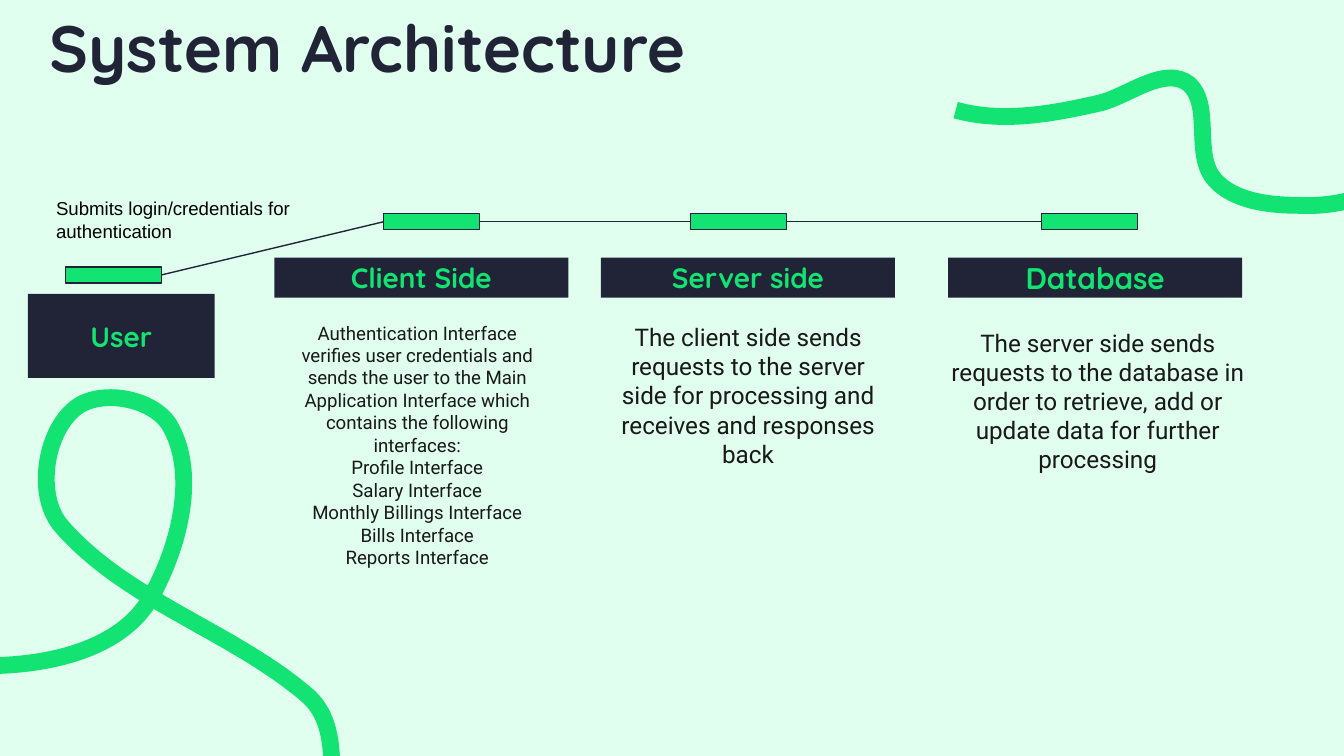
from dataclasses import dataclass

from lxml import etree
from pptx import Presentation
from pptx import util as u
from pptx.dml.color import RGBColor
from pptx.enum import shapes, text
from pptx.oxml.ns import qn

Pt = u.Pt


@dataclass(frozen=True)
class Theme:
    mint: str = "E0FFEE"
    green: str = "13E372"
    navy: str = "212437"
    ink: str = "191919"
    black: str = "000000"
    heading: str = "Quicksand"
    body: str = "Roboto"
    note: str = "Arial"
    title_size: float = 35
    label_size: float = 15
    note_size: float = 10
    rule: float = 0.75
    ribbon: float = 9
    inset: float = 7.2


THEME = Theme()
MARKER_SIZE = (51.5, 8.6)

# Header box, header size, marker corner, body box, body size, paragraphs
STAGES = [
    ("Client Side", (147, 138, 157.5, 21.5), 15, (205.5, 114.5),
     (151, 165, 145, 218), 10,
     ["Authentication Interface verifies user credentials and sends the user to "
      "the Main Application Interface which contains the following interfaces:",
      "Profile Interface", "Salary Interface", "Monthly Billings Interface",
      "Bills Interface", "Reports Interface"]),
    ("Server side", (322, 138, 157.5, 21.5), 15, (370, 114.5),
     (322, 165.5, 157.5, 45), 13,
     ["The client side sends requests to the server side for processing and "
      "receives and responses back"]),
    ("Database", (508, 138, 157.5, 21.5), 16, (558, 114.5),
     (500.5, 168.5, 175, 45), 13,
     ["The server side sends requests to the database in order to retrieve, "
      "add or update data for further processing"]),
]

# Each ribbon is a start point followed by cubic segments of three points
LOOP = [(175, 457),
        (175, 429), (186, 390), (164, 372), (124, 338), (68, 322), (33, 282),
        (19, 266), (24, 232), (40, 219), (53, 208), (82, 213), (91, 228),
        (106, 254), (96, 292), (82, 318), (63, 356), (1, 361), (-40, 354),
        (-135, 337), (-169, 175), (-265, 175)]
WAVE = [(835, 94),
        (815, 89), (795, 74), (775, 79), (764, 82), (756, 94), (746, 99),
        (730, 107), (712, 111), (695, 110), (678, 110), (658, 107), (649, 94),
        (640, 80), (649, 56), (637, 45), (624, 35), (605, 51), (590, 55),
        (564, 61), (537, 66), (512, 59)]


def rgb(color):
    return RGBColor.from_string(color)


def in_points(box):
    return [Pt(length) for length in box]


def write(frame, paragraphs, font, size, color, bold=False, centred=True,
          anchor=text.MSO_ANCHOR.TOP, inset_y=THEME.inset):
    frame.word_wrap = True
    frame.auto_size = text.MSO_AUTO_SIZE.NONE
    frame.vertical_anchor = anchor
    frame.margin_left = frame.margin_right = Pt(THEME.inset)
    frame.margin_top = frame.margin_bottom = Pt(inset_y)
    frame.text = "\n".join(paragraphs)
    for paragraph in frame.paragraphs:
        paragraph.alignment = text.PP_ALIGN.CENTER if centred else text.PP_ALIGN.LEFT
        for run in paragraph.runs:
            run.font.name = font
            run.font.size = Pt(size)
            run.font.bold = bold
            run.font.color.rgb = rgb(color)


def add_block(slide, box, fill, outline=None):
    block = slide.shapes.add_shape(shapes.MSO_SHAPE.RECTANGLE, *in_points(box))
    block.shadow.inherit = False
    block.fill.solid()
    block.fill.fore_color.rgb = rgb(fill)
    if outline:
        block.line.color.rgb = rgb(outline)
        block.line.width = Pt(THEME.rule)
    else:
        block.line.fill.background()
    return block


def add_label(slide, box, name, size):
    label = add_block(slide, box, THEME.navy)
    write(label.text_frame, [name], THEME.heading, size, THEME.green, bold=True,
          anchor=text.MSO_ANCHOR.MIDDLE)


def add_marker(slide, corner):
    return add_block(slide, corner + MARKER_SIZE, THEME.green, THEME.navy)


def add_link(slide, source, target):
    """Join the right side of one marker to the left side of the next."""
    link = slide.shapes.add_connector(shapes.MSO_CONNECTOR.STRAIGHT, 0, 0, 0, 0)
    link.begin_connect(source, 3)
    link.end_connect(target, 1)
    link.line.color.rgb = rgb(THEME.navy)
    link.line.width = Pt(THEME.rule)
    etree.SubElement(link._element.spPr, qn("a:effectLst"))


def add_ribbon(slide, points):
    builder = slide.shapes.build_freeform(*points[0], scale=Pt(1))
    builder.add_line_segments(points[1:], close=False)
    ribbon = builder.convert_to_shape()
    ribbon.shadow.inherit = False
    ribbon.fill.background()
    ribbon.line.color.rgb = rgb(THEME.green)
    ribbon.line.width = Pt(THEME.ribbon)
    # Regroup every three straight steps into one cubic curve
    outline = next(ribbon._element.iter(qn("a:path")))
    steps = outline.findall(qn("a:lnTo"))
    for first in range(0, len(steps), 3):
        curve = etree.SubElement(outline, qn("a:cubicBezTo"))
        for step in steps[first:first + 3]:
            curve.append(step[0])
            outline.remove(step)


def add_title(slide, box):
    title = slide.shapes.title
    title.left, title.top, title.width, title.height = in_points(box)
    write(title.text_frame, ["System Architecture"], THEME.heading,
          THEME.title_size, THEME.navy, bold=True)


def add_text(slide, box, paragraphs, *style, **options):
    area = slide.shapes.add_textbox(*in_points(box))
    write(area.text_frame, paragraphs, *style, **options)


def add_user(slide, box):
    """User block, with its marker above and the login note on top."""
    left, top, _, _ = box
    add_label(slide, box, "User", THEME.label_size)
    add_text(slide, (left + 8, top - 55.5, 144, 32),
             ["Submits login/credentials for authentication"],
             THEME.note, THEME.note_size, THEME.black, centred=False, inset_y=3.6)
    return add_marker(slide, (left + 20, top - 14.5))


def add_stage(slide, name, header, header_size, corner, box, size, paragraphs):
    add_label(slide, header, name, header_size)
    add_text(slide, box, paragraphs, THEME.body, size, THEME.ink)
    return add_marker(slide, corner)


def main():
    deck = Presentation()
    deck.slide_width, deck.slide_height = Pt(720), Pt(405)
    slide = deck.slides.add_slide(deck.slide_layouts[5])
    slide.background.fill.solid()
    slide.background.fill.fore_color.rgb = rgb(THEME.mint)

    # Decoration and title
    for ribbon in (LOOP, WAVE):
        add_ribbon(slide, ribbon)
    add_title(slide, (-106.5, -3.5, 607, 45.5))

    # Request flow from the user to the database
    markers = [add_user(slide, (15, 157.5, 100, 45))]
    markers += [add_stage(slide, *stage) for stage in STAGES]
    for source, target in zip(markers, markers[1:]):
        add_link(slide, source, target)

    deck.save("out.pptx")


if __name__ == "__main__":
    main()
